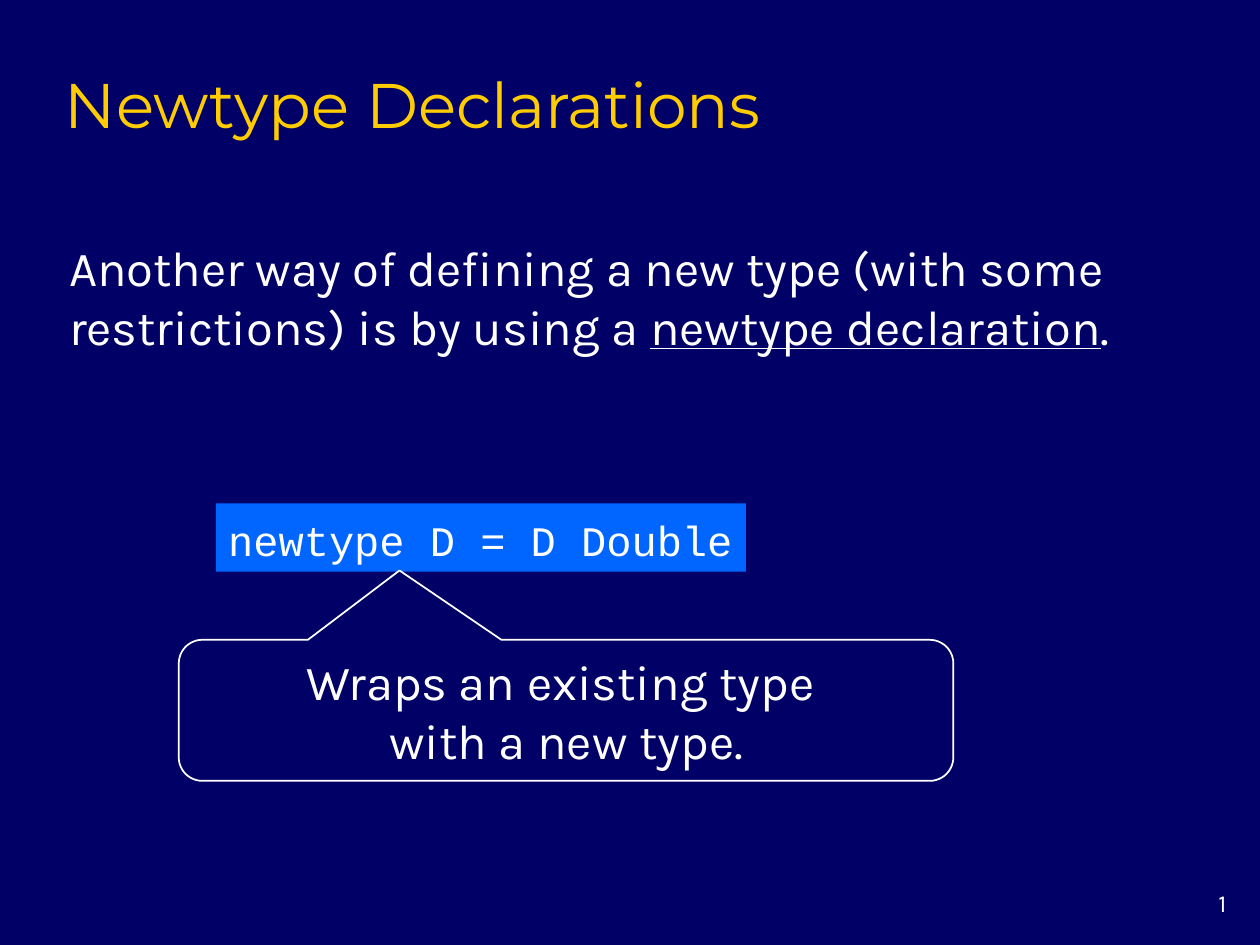
from pptx import Presentation
from pptx.dml.color import RGBColor
from pptx.enum import shapes, text
from pptx.util import Pt

NAVY = RGBColor(0x00, 0x00, 0x66)
BLUE = RGBColor(0x00, 0x66, 0xFF)
GOLD = RGBColor(0xFF, 0xCC, 0x00)
WHITE = RGBColor(0xFF, 0xFF, 0xFF)

ANCHOR = text.MSO_ANCHOR
ALIGN = text.PP_ALIGN
SHAPE = shapes.MSO_SHAPE


def set_font(p, name, size, color=WHITE, align=ALIGN.LEFT):
    p.alignment = align
    p.font.name = name
    p.font.size = Pt(size)
    p.font.color.rgb = color


def add_text_box(slide, box, anchor):
    tf = slide.shapes.add_textbox(*map(Pt, box)).text_frame
    tf.word_wrap = True
    tf.vertical_anchor = anchor
    return tf


def add_panel(slide, box, kind):
    sp = slide.shapes.add_shape(kind, *map(Pt, box))
    sp.shadow.inherit = False
    tf = sp.text_frame
    tf.vertical_anchor = ANCHOR.MIDDLE
    tf.margin_left = tf.margin_right = Pt(7.2)
    tf.margin_top = tf.margin_bottom = Pt(3.6)
    return sp


def add_title(slide, box):
    p = add_text_box(slide, box, ANCHOR.BOTTOM).paragraphs[0]
    p.text = "Newtype Declarations"
    set_font(p, "Montserrat", 36, GOLD)


def add_intro(slide, box):
    p = add_text_box(slide, box, ANCHOR.MIDDLE).paragraphs[0]
    p.add_run().text = "Another way of defining a new type (with some restrictions) is by using a "
    r = p.add_run()
    r.text = "newtype declaration"
    r.font.underline = True
    p.add_run().text = "."
    set_font(p, "Karla", 28)


def add_code(slide, box):
    sp = add_panel(slide, box, SHAPE.RECTANGLE)
    sp.fill.solid()
    sp.fill.fore_color.rgb = BLUE
    sp.line.fill.background()
    sp.text_frame.word_wrap = False
    p = sp.text_frame.paragraphs[0]
    p.text = "newtype D = D Double"
    p.line_spacing = 1.1
    set_font(p, "Courier New", 24)


def add_callout(slide, box):
    sp = add_panel(slide, box, SHAPE.ROUNDED_RECTANGULAR_CALLOUT)
    for i, value in enumerate((-0.215, -0.992, 0.167)):
        sp.adjustments[i] = value
    sp.fill.background()
    sp.line.color.rgb = WHITE
    sp.line.width = Pt(1)
    tf = sp.text_frame
    tf.word_wrap = True
    tf.text = "Wraps an existing type \nwith a new type."
    for p in tf.paragraphs:
        set_font(p, "Karla", 28, align=ALIGN.CENTER)


def add_page_number(slide, box):
    p = add_text_box(slide, box, ANCHOR.TOP).paragraphs[0]
    p.text = "1"
    set_font(p, "Karla", 14, align=ALIGN.RIGHT)


def main():
    prs = Presentation()
    prs.slide_width = Pt(720)
    prs.slide_height = Pt(540)
    slide = prs.slides.add_slide(prs.slide_layouts[6])
    slide.background.fill.solid()
    slide.background.fill.fore_color.rgb = NAVY
    add_page_number(slide, (660, 504, 48, 24))
    add_title(slide, (30, 30, 612, 54))
    add_intro(slide, (32.4, 115.2, 661, 108))
    add_code(slide, (123.3, 287.7, 303, 39))
    add_callout(slide, (102.2, 365.6, 442.6, 80.6))
    prs.save("out.pptx")


if __name__ == "__main__":
    main()
